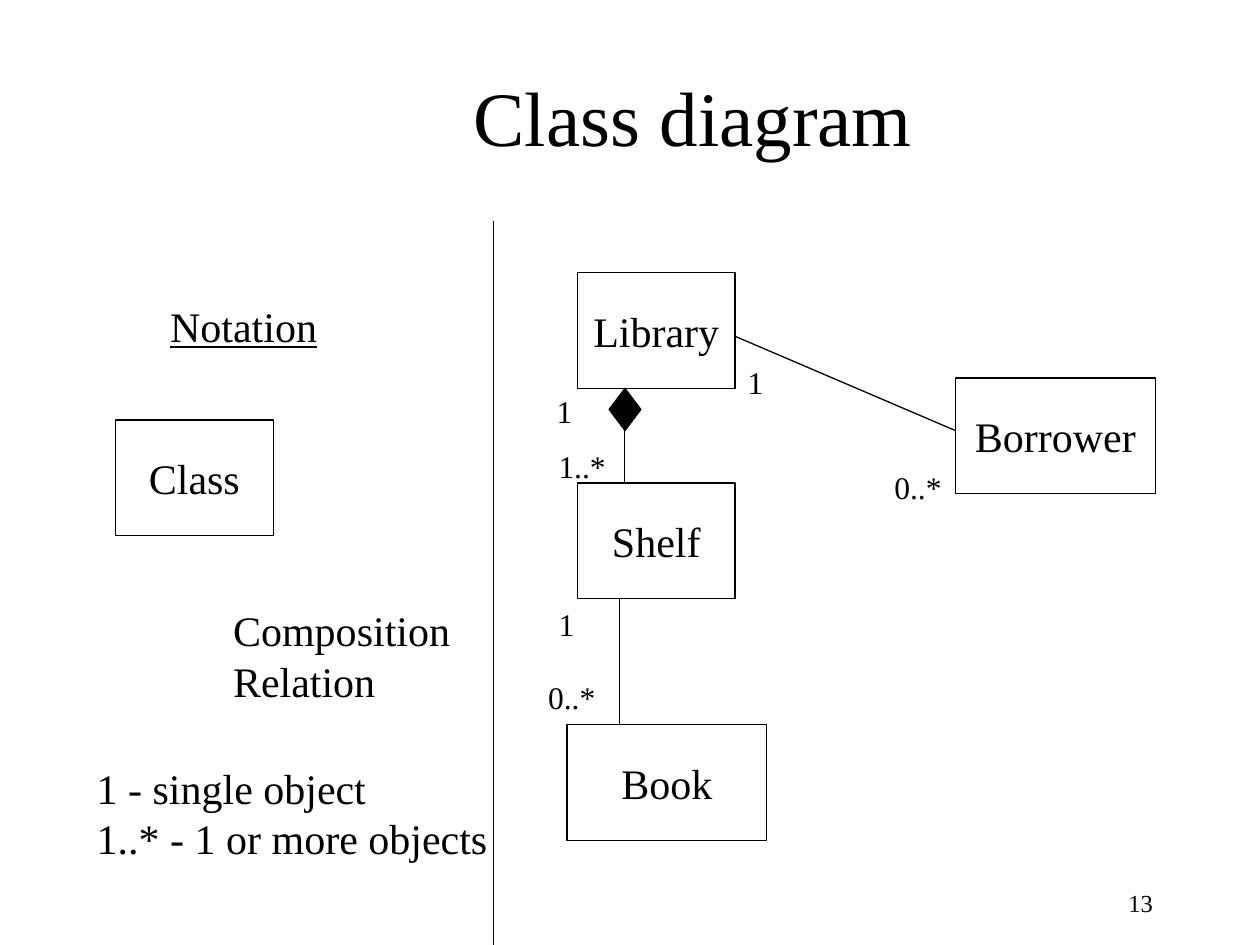
from lxml import etree
from pptx import Presentation, util as u
from pptx.dml.color import RGBColor
from pptx.enum import shapes, text
from pptx.oxml.ns import qn

HUES = {"ink": "000000", "back": "FFFFFF"}
FONT = "Times New Roman"
LINE = 0.75
BOX_H = 2.33
SLIM, WIDE = 3.18, 4.03


def hue(name):
    return RGBColor.from_string(HUES[name])


def write(shape, words, size=24, align="LEFT", anchor="TOP",
          wrap=False, grow=False, under=None):
    frame = shape.text_frame
    frame.word_wrap = wrap
    frame.vertical_anchor = text.MSO_ANCHOR[anchor]
    if grow:
        frame.auto_size = text.MSO_AUTO_SIZE.SHAPE_TO_FIT_TEXT
    frame.text = words
    for para in frame.paragraphs:
        para.alignment = text.PP_ALIGN[align]
        for run in para.runs:
            font = run.font
            font.name = FONT
            font.size = u.Pt(size)
            font.underline = under
            font.color.rgb = hue("ink")


def label(slide, words, x, y, w, h, **form):
    box = slide.shapes.add_textbox(u.Cm(x), u.Cm(y), u.Cm(w), u.Cm(h))
    write(box, words, **form)


def shape(slide, kind, x, y, w, h, fill=None):
    item = slide.shapes.add_shape(
        shapes.MSO_SHAPE[kind], u.Cm(x), u.Cm(y), u.Cm(w), u.Cm(h))
    item.shadow.inherit = False
    if fill:
        item.fill.solid()
        item.fill.fore_color.rgb = hue(fill)
    else:
        item.fill.background()
    item.line.color.rgb = hue("ink")
    item.line.width = u.Pt(LINE)
    return item


def node(slide, name, x, y, w):
    box = shape(slide, "RECTANGLE", x, y, w, BOX_H)
    write(box, name, align="CENTER", anchor="MIDDLE")


def link(slide, *ends):
    line = slide.shapes.add_connector(
        shapes.MSO_CONNECTOR.STRAIGHT, *(u.Cm(end) for end in ends))
    line.line.color.rgb = hue("ink")
    line.line.width = u.Pt(LINE)
    etree.SubElement(line._element.spPr, qn("a:effectLst"))


def main():
    deck = Presentation()
    deck.slide_width, deck.slide_height = u.Cm(25.4), u.Cm(19.05)
    slide = deck.slides.add_slide(deck.slide_layouts[6])
    slide.background.fill.solid()
    slide.background.fill.fore_color.rgb = hue("back")

    label(slide, "Class diagram", 3.6, 0.64, 20.74, 3.38,
          size=44, align="CENTER", anchor="MIDDLE", wrap=True)

    for words, x, y, w, h, under in (
        ("Notation", 3.18, 5.93, 3.55, 1.27, True),
        ("Composition\nRelation", 4.45, 12.07, 4.9, 2.29, None),
        ("1 - single object\n1..* - 1 or more objects",
         1.7, 15.24, 8.4, 2.29, None),
    ):
        label(slide, words, x, y, w, h, under=under, grow=True)

    for name, x, y, w in (
        ("Class", 2.33, 8.47, SLIM),
        ("Library", 11.64, 5.5, SLIM),
        ("Shelf", 11.64, 9.74, SLIM),
        ("Book", 11.43, 14.61, WIDE),
        ("Borrower", 19.26, 7.62, WIDE),
    ):
        node(slide, name, x, y, w)

    shape(slide, "DIAMOND", 12.28, 7.83, 0.64, 0.85, fill="ink")
    for ends in (
        (9.95, 4.45, 9.95, 19.05),
        (12.59, 8.68, 12.59, 9.74),
        (12.49, 12.07, 12.49, 14.61),
        (14.82, 6.78, 19.26, 8.68),
    ):
        link(slide, *ends)

    for count, x, y in (
        ("1", 10.97, 7.77),
        ("1..*", 11.01, 8.89),
        ("1", 11.01, 12.07),
        ("0..*", 10.8, 13.54),
        ("1", 14.82, 7.19),
        ("0..*", 17.78, 9.32),
    ):
        wide = 0.83 if count == "1" else 1.55
        label(slide, count, x, y, wide, 1.02, size=18, grow=True)

    label(slide, "13", 22.02, 17.78, 1.47, 0.84,
          size=14, align="RIGHT", wrap=True)
    deck.save("out.pptx")


if __name__ == "__main__":
    main()
